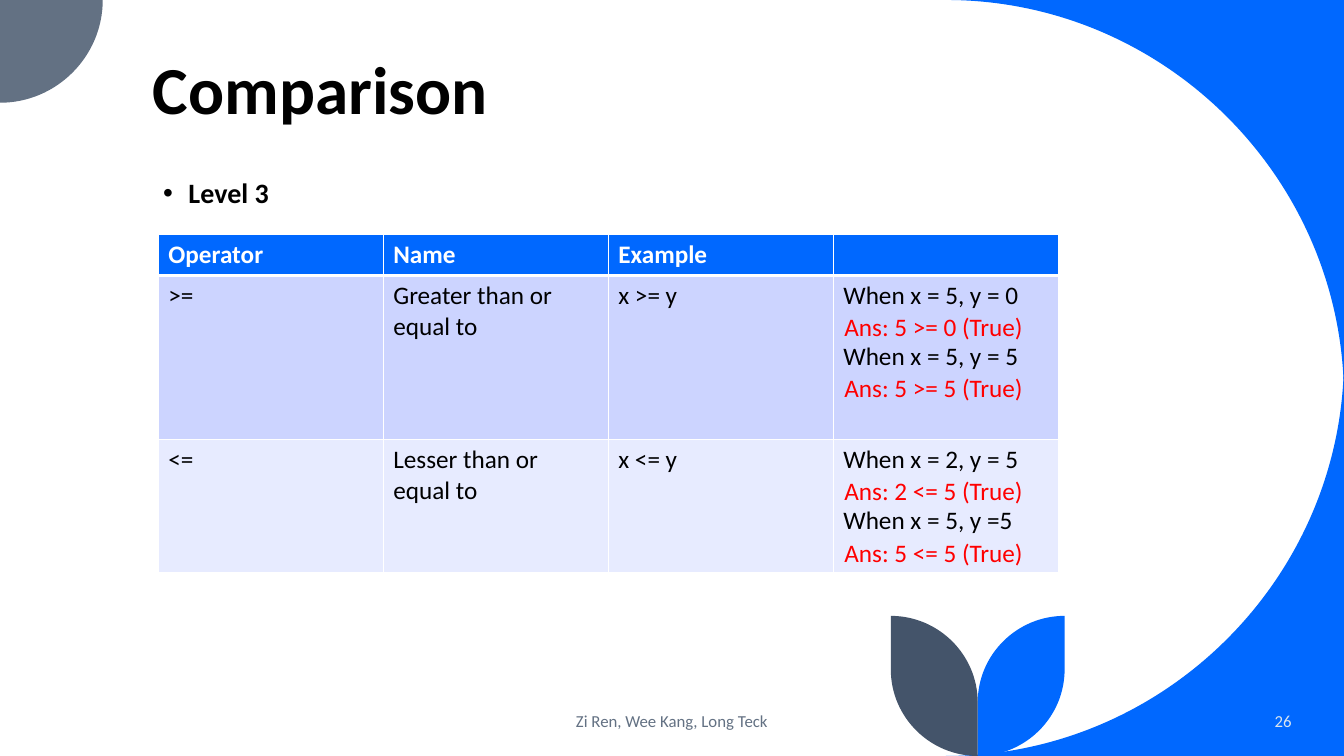
from dataclasses import dataclass

from lxml.etree import SubElement
from pptx import Presentation
from pptx.dml.color import RGBColor
from pptx.enum.text import MSO_ANCHOR as Anchor, MSO_AUTO_SIZE as AutoSize, PP_ALIGN as Align
from pptx.oxml.ns import qn
from pptx.util import Cm, Pt

# Content
TITLE = "Comparison"
LEVEL = "Level 3"
AUTHORS = "Zi Ren, Wee Kang, Long Teck"
PAGE_NUMBER = "26"
HEADER = ["Operator", "Name", "Example", ""]
OPERATORS = [
    (">=", "Greater than or equal to", "x >= y", ["When x = 5, y = 0", "When x = 5, y = 5"]),
    ("<=", "Lesser than or equal to", "x <= y", ["When x = 2, y = 5", "When x = 5, y =5"]),
]
ANSWERS = [
    ("Ans: 5 >= 0 (True)", "Ans: 5 >= 5 (True)"),
    ("Ans: 2 <= 5 (True)", "Ans: 5 <= 5 (True)"),
]


@dataclass(frozen=True)
class Theme:
    font: str = "Calibri"
    blue: str = "0068FF"
    slate: str = "637183"
    navy: str = "44546A"
    black: str = "000000"
    white: str = "FFFFFF"
    red: str = "FF0000"
    pale: str = "DAE5EF"
    bands: tuple = ("CCD4FF", "E7EBFF")
    title_size: int = 48
    level_size: int = 20
    body_size: int = 18
    small_size: int = 12


THEME = Theme()

# Measures in centimetres
WIDTH, HEIGHT = 33.87, 19.05
SWEEP = 10.03
CORNER = 2.59
STEM_X, LEAF_WIDTH, LEAF_TOP, LEAF_ARC = 24.64, 2.19, 15.52, 2.18
TABLE_LEFT, TABLE_TOP, COLUMN_WIDTH = 3.99, 5.91, 5.67
ROW_HEIGHTS = [1.03, 4.14, 3.35]
ANSWER_LEFT, ANSWER_STEP = 21.03, 1.55
ANSWER_TOPS = [7.71, 11.86]

# How an outline reaches a point: straight, or by a quarter arc leaving that way
LINE, ACROSS, UPRIGHT = "line", "across", "upright"
ARC_RATIO = 0.55


def write(frame, text, size=THEME.body_size, color=THEME.black, bold=False, align=Align.LEFT,
          anchor=Anchor.TOP, line_spacing=None, gap=0, bullet=None):
    """Write one string, or a list of paragraphs, into a text frame."""
    frame.word_wrap = True
    frame.vertical_anchor = anchor
    lines = [text] if isinstance(text, str) else text
    for index, line in enumerate(lines):
        para = frame.add_paragraph() if index else frame.paragraphs[0]
        if bullet:
            props = para._p.get_or_add_pPr()
            props.set("marL", str(Cm(0.64)))
            props.set("indent", str(-Cm(0.64)))
            SubElement(props, qn("a:buFont"), typeface="Arial")
            SubElement(props, qn("a:buChar"), char=bullet)
        para.alignment = align
        if line_spacing:
            para.line_spacing = line_spacing
        if index and gap:
            para.space_before = Pt(gap)
        span = para.add_run()
        span.text = line
        span.font.name = THEME.font
        span.font.size = Pt(size)
        span.font.bold = bold
        span.font.color.rgb = RGBColor.from_string(color)


def add_text(page, left, top, width, height, text, **style):
    box = page.shapes.add_textbox(Cm(left), Cm(top), Cm(width), Cm(height))
    write(box.text_frame, text, **style)


def bend(segment, start, end, kind):
    """Turn a straight segment into a quarter arc."""
    corner = (end[0], start[1]) if kind == ACROSS else (start[0], end[1])
    controls = [[round(p + ARC_RATIO * (c - p)) for p, c in zip(point, corner)]
                for point in (start, end)]
    curve = segment.makeelement(qn("a:cubicBezTo"), {})
    for x, y in [*controls, end]:
        SubElement(curve, qn("a:pt"), x=str(x), y=str(y))
    segment.getparent().replace(segment, curve)


def add_outline(page, color, start, *steps):
    """Draw a filled outline from a start point and (x, y, kind) steps."""
    builder = page.shapes.build_freeform(Cm(start[0]), Cm(start[1]))
    builder.add_line_segments([(Cm(x), Cm(y)) for x, y, kind in steps], close=True)
    shape = builder.convert_to_shape()
    shape.shadow.inherit = False
    shape.fill.solid()
    shape.fill.fore_color.rgb = RGBColor.from_string(color)
    shape.line.fill.background()
    points = [(int(p.get("x")), int(p.get("y"))) for p in shape._element.iter(qn("a:pt"))]
    segments = list(shape._element.iter(qn("a:lnTo")))
    for index, (segment, step) in enumerate(zip(segments, steps)):
        if step[2] != LINE:
            bend(segment, points[index], points[index + 1], step[2])


def add_leaf(page, side, color):
    outer = STEM_X + side * LEAF_WIDTH
    add_outline(page, color, (outer, LEAF_TOP),
                (outer, HEIGHT - LEAF_ARC, LINE), (STEM_X, HEIGHT, UPRIGHT),
                (STEM_X, LEAF_TOP + LEAF_ARC, LINE), (outer, LEAF_TOP, UPRIGHT))


def set_borders(cell, top, bottom):
    props = cell._tc.get_or_add_tcPr()
    for index, (edge, points) in enumerate([("lnL", 1), ("lnR", 1), ("lnT", top), ("lnB", bottom)]):
        line = props.makeelement(qn(f"a:{edge}"), {"w": str(Pt(points))})
        fill = SubElement(line, qn("a:solidFill"))
        SubElement(fill, qn("a:srgbClr"), val=THEME.white)
        props.insert(index, line)


def add_operator_table(page):
    rows = [HEADER, *OPERATORS]
    frame = page.shapes.add_table(len(rows), len(HEADER), Cm(TABLE_LEFT), Cm(TABLE_TOP),
                                  Cm(COLUMN_WIDTH * len(HEADER)), Cm(sum(ROW_HEIGHTS)))
    table = frame.table
    for column in table.columns:
        column.width = Cm(COLUMN_WIDTH)
    for row_index, row in enumerate(rows):
        table.rows[row_index].height = Cm(ROW_HEIGHTS[row_index])
        is_header = row_index == 0
        fill = THEME.blue if is_header else THEME.bands[row_index - 1]
        for column_index, text in enumerate(row):
            cell = table.cell(row_index, column_index)
            cell.fill.solid()
            cell.fill.fore_color.rgb = RGBColor.from_string(fill)
            set_borders(cell, 3 if row_index == 1 else 1, 3 if is_header else 1)
            if text:
                write(cell.text_frame, text, bold=is_header, gap=21.5,
                      color=THEME.white if is_header else THEME.black)


def main():
    deck = Presentation()
    deck.slide_width, deck.slide_height = Cm(WIDTH), Cm(HEIGHT)
    page = deck.slides.add_slide(deck.slide_layouts[5])

    # Background decoration
    sweep_x = WIDTH - SWEEP
    add_outline(page, THEME.blue, (WIDTH, 0), (sweep_x, 0, LINE), (WIDTH, SWEEP, ACROSS))
    add_outline(page, THEME.blue, (WIDTH, HEIGHT - SWEEP), (sweep_x, HEIGHT, UPRIGHT),
                (WIDTH, HEIGHT, LINE))
    add_outline(page, THEME.slate, (0, 0), (CORNER, 0, LINE), (0, CORNER, UPRIGHT))
    add_leaf(page, 1, THEME.blue)
    add_leaf(page, -1, THEME.navy)

    # Title
    title = page.shapes.title
    title.left, title.top, title.width, title.height = Cm(3.6), Cm(1.22), Cm(27.15), Cm(2.16)
    title.text_frame.auto_size = AutoSize.NONE
    write(title.text_frame, TITLE, size=THEME.title_size, bold=True, anchor=Anchor.BOTTOM,
          line_spacing=0.9)

    # Footer
    add_text(page, 11.22, 17.65, 11.43, 1.02, AUTHORS, size=THEME.small_size, color=THEME.slate,
             align=Align.CENTER, anchor=Anchor.MIDDLE)
    add_text(page, 28.2, 17.65, 4.6, 1.02, PAGE_NUMBER, size=THEME.small_size, color=THEME.pale,
             align=Align.RIGHT, anchor=Anchor.MIDDLE)

    # Level and operators
    add_text(page, 3.86, 4.39, 11.28, 1.02, LEVEL, size=THEME.level_size, bold=True,
             line_spacing=0.9, bullet="•")
    add_operator_table(page)

    # Answers between the example lines
    for top, answers in zip(ANSWER_TOPS, ANSWERS):
        for index, answer in enumerate(answers):
            add_text(page, ANSWER_LEFT, top + index * ANSWER_STEP, 7.62, 1.02, answer,
                     color=THEME.red)

    deck.save("out.pptx")


if __name__ == "__main__":
    main()
